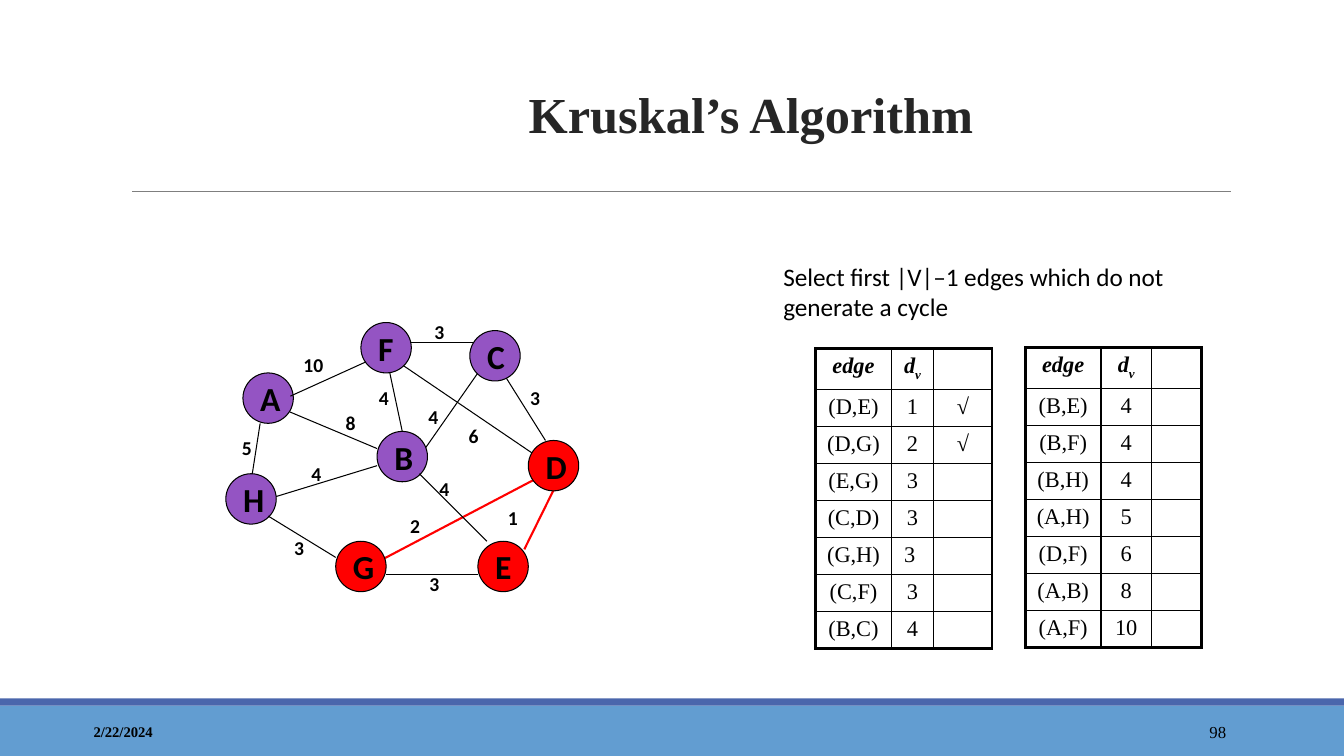
from lxml import etree
from pptx import Presentation
from pptx.dml.color import RGBColor
from pptx.enum.shapes import MSO_CONNECTOR, MSO_SHAPE
from pptx.enum.text import MSO_ANCHOR, PP_ALIGN
from pptx.oxml.ns import qn
from pptx.util import Inches, Pt

STRAIGHT = MSO_CONNECTOR.STRAIGHT
OVAL, RECTANGLE = MSO_SHAPE.OVAL, MSO_SHAPE.RECTANGLE
TOP, MIDDLE, BOTTOM = MSO_ANCHOR.TOP, MSO_ANCHOR.MIDDLE, MSO_ANCHOR.BOTTOM
LEFT, CENTER, RIGHT = PP_ALIGN.LEFT, PP_ALIGN.CENTER, PP_ALIGN.RIGHT

BLACK = RGBColor(0x00, 0x00, 0x00)
WHITE = RGBColor(0xFF, 0xFF, 0xFF)
RED = RGBColor(0xFF, 0x00, 0x00)
PURPLE = RGBColor(0x94, 0x54, 0xC3)
SKY = RGBColor(0x62, 0x9D, 0xD1)
INDIGO = RGBColor(0x4A, 0x66, 0xAC)
GRAY = RGBColor(0x7F, 0x7F, 0x7F)
CHARCOAL = RGBColor(0x26, 0x26, 0x26)

SANS, SERIF = "Calibri", "Times New Roman"
NODE_SIZE = 0.5
THIN, THICK = 1, 2.25

EDGES_BEHIND = [
    (5.61, 4.62, 5.2, 5.45, RED),
    (3.83, 3.53, 3.99, 4.28, BLACK),
    (4.16, 4.53, 4.74, 3.7, BLACK),
    (5.33, 4.53, 3.99, 3.62, BLACK),
    (2.66, 4.95, 3.74, 4.62, BLACK),
    (3.66, 5.62, 5.41, 4.7, RED),
    (2.49, 4.78, 2.58, 4.2, BLACK),
    (2.74, 4.03, 3.74, 4.45, BLACK),
    (4.04, 3.4, 4.71, 3.4, BLACK),
    (4.99, 3.7, 5.41, 4.37, BLACK),
]
EDGES_IN_FRONT = [
    (4.16, 4.7, 4.83, 5.37, BLACK),
    (4.74, 5.7, 3.83, 5.7, BLACK),
    (3.33, 5.53, 2.66, 5.12, BLACK),
    (2.88, 3.93, 3.63, 3.59, BLACK),
]
NODES = [
    ("A", 2.41, 3.7, PURPLE), ("H", 2.24, 4.7, PURPLE),
    ("B", 3.74, 4.28, PURPLE), ("F", 3.58, 3.2, PURPLE),
    ("E", 4.74, 5.37, RED), ("D", 5.24, 4.37, RED),
    ("C", 4.66, 3.28, PURPLE), ("G", 3.33, 5.37, RED),
]
WEIGHTS = [
    ("5", 2.3, 4.28), ("1", 4.94, 4.97), ("3", 4.16, 5.62), ("2", 3.97, 5.05),
    ("4", 4.26, 4.68), ("6", 4.55, 4.16), ("3", 5.16, 3.78), ("4", 4.15, 3.97),
    ("3", 4.21, 3.12), ("4", 3.66, 3.78), ("8", 3.33, 4.03), ("4", 2.99, 4.53),
    ("3", 2.82, 5.27), ("10", 2.91, 3.45),
]
SHORT_EDGES = [
    ("(D,E)", "1", "√"), ("(D,G)", "2", "√"), ("(E,G)", "3", ""),
    ("(C,D)", "3", ""), ("(G,H)", "3 ", ""), ("(C,F)", "3", ""), ("(B,C)", "4", ""),
]
LONG_EDGES = [
    ("(B,E)", "4", ""), ("(B,F)", "4", ""), ("(B,H)", "4", ""), ("(A,H)", "5", ""),
    ("(D,F)", "6", ""), ("(A,B)", "8", ""), ("(A,F)", "10", ""),
]


class SlideBuilder:
    def __init__(self, page):
        self.shapes = page.shapes

    def style(self, span, size, font, color=BLACK, bold=False, italic=False):
        span.font.size = Pt(size)
        span.font.name = font
        span.font.color.rgb = color
        span.font.bold = bold
        span.font.italic = italic

    def fill_text(self, frame, text, size, font, color=BLACK, bold=False, align=LEFT, anchor=TOP):
        frame.text = text
        frame.word_wrap = True
        frame.vertical_anchor = anchor
        para = frame.paragraphs[0]
        para.alignment = align
        self.style(para.runs[0], size, font, color, bold)
        return para

    def text(self, area, text, size, font, **options):
        box = self.shapes.add_textbox(*map(Inches, area))
        return self.fill_text(box.text_frame, text, size, font, **options)

    def shape(self, kind, area, fill):
        box = self.shapes.add_shape(kind, *map(Inches, area))
        box.shadow.inherit = False
        box.fill.solid()
        box.fill.fore_color.rgb = fill
        box.line.fill.background()
        return box

    def node(self, name, left, top, fill):
        circle = self.shape(OVAL, (left, top, NODE_SIZE, NODE_SIZE), fill)
        circle.line.color.rgb = BLACK
        circle.line.width = Pt(0.75)
        self.fill_text(circle.text_frame, name, 24, SANS, bold=True, anchor=MIDDLE)

    def line(self, x1, y1, x2, y2, color):
        connector = self.shapes.add_connector(STRAIGHT, *map(Inches, (x1, y1, x2, y2)))
        connector.line.color.rgb = color
        connector.line.width = Pt(1.5 if color == RED else 0.75)
        etree.SubElement(connector._element.spPr, qn("a:effectLst"))

    def borders(self, cell, widths):
        properties = cell._tc.get_or_add_tcPr()
        for side, width in widths.items():
            border = etree.SubElement(properties, qn(f"a:ln{side}"), w=str(Pt(width)))
            fill = etree.SubElement(border, qn("a:solidFill"))
            etree.SubElement(fill, qn("a:srgbClr"), val=str(BLACK))

    def cell(self, cell, text, header):
        para = cell.text_frame.paragraphs[0]
        para.alignment = CENTER
        if not text:
            etree.SubElement(para._p, qn("a:endParaRPr"), sz="1600")
            return
        para.text = text
        emphasis = header or text == "√"
        self.style(para.runs[0], 16, SERIF, bold=emphasis, italic=emphasis)

    def table(self, left, top, widths, edges):
        rows = [("edge", "d", "")] + edges
        heights = [0.38] + [0.35] * len(edges)
        area = (left, top, sum(widths), sum(heights))
        grid = self.shapes.add_table(len(rows), len(widths), *map(Inches, area)).table
        grid.first_row = grid.horz_banding = False
        for column, width in zip(grid.columns, widths):
            column.width = Inches(width)
        last_row, last_column = len(rows) - 1, len(widths) - 1
        for r, values in enumerate(rows):
            grid.rows[r].height = Inches(heights[r])
            for c, value in enumerate(values):
                cell = grid.cell(r, c)
                self.cell(cell, value, r == 0)
                self.borders(cell, {
                    "L": THICK if c == 0 else THIN,
                    "R": THICK if c == last_column else THIN,
                    "T": THICK if r == 0 else THIN,
                    "B": THICK if r == last_row else THIN,
                })
                cell.fill.solid()
                cell.fill.fore_color.rgb = WHITE
        subscript = grid.cell(0, 1).text_frame.paragraphs[0].add_run()
        subscript.text = "v"
        self.style(subscript, 16, SERIF, bold=True, italic=True)
        subscript.font._element.set("baseline", "-25000")


def main():
    deck = Presentation()
    deck.slide_width, deck.slide_height = Inches(13.33), Inches(7.5)
    builder = SlideBuilder(deck.slides.add_slide(deck.slide_layouts[6]))

    builder.shape(RECTANGLE, (0, 7, 13.33, 0.5), SKY)
    builder.shape(RECTANGLE, (0, 6.93, 13.33, 0.07), INDIGO)
    builder.line(1.31, 1.9, 12.21, 1.9, GRAY)
    title = builder.text((1.95, 0.41, 11, 1.06), "Kruskal’s Algorithm", 36, SERIF,
                         color=CHARCOAL, bold=True, align=CENTER, anchor=BOTTOM)
    title.line_spacing = 1.1
    builder.text((0.83, 7.06, 3, 0.4), "2/22/2024", 10.5, SERIF, bold=True, anchor=MIDDLE)
    builder.text((10.83, 7.06, 1.43, 0.4), "98", 12, SERIF, align=RIGHT, anchor=MIDDLE)
    builder.text((7.67, 2.54, 4.42, 0.77),
                 "Select first |V|–1 edges which do not generate a cycle", 18, SANS)

    builder.table(8.09, 3.46, (0.75, 0.42, 0.58), SHORT_EDGES)
    builder.table(10.17, 3.45, (0.75, 0.5, 0.5), LONG_EDGES)

    for edge in EDGES_BEHIND:
        builder.line(*edge)
    for node in NODES:
        builder.node(*node)
    for edge in EDGES_IN_FRONT:
        builder.line(*edge)
    for weight, left, top in WEIGHTS:
        width = 0.52 if len(weight) > 1 else 0.33
        builder.text((left, top, width, 0.33), weight, 14, SANS, bold=True)

    deck.save("out.pptx")


if __name__ == "__main__":
    main()
